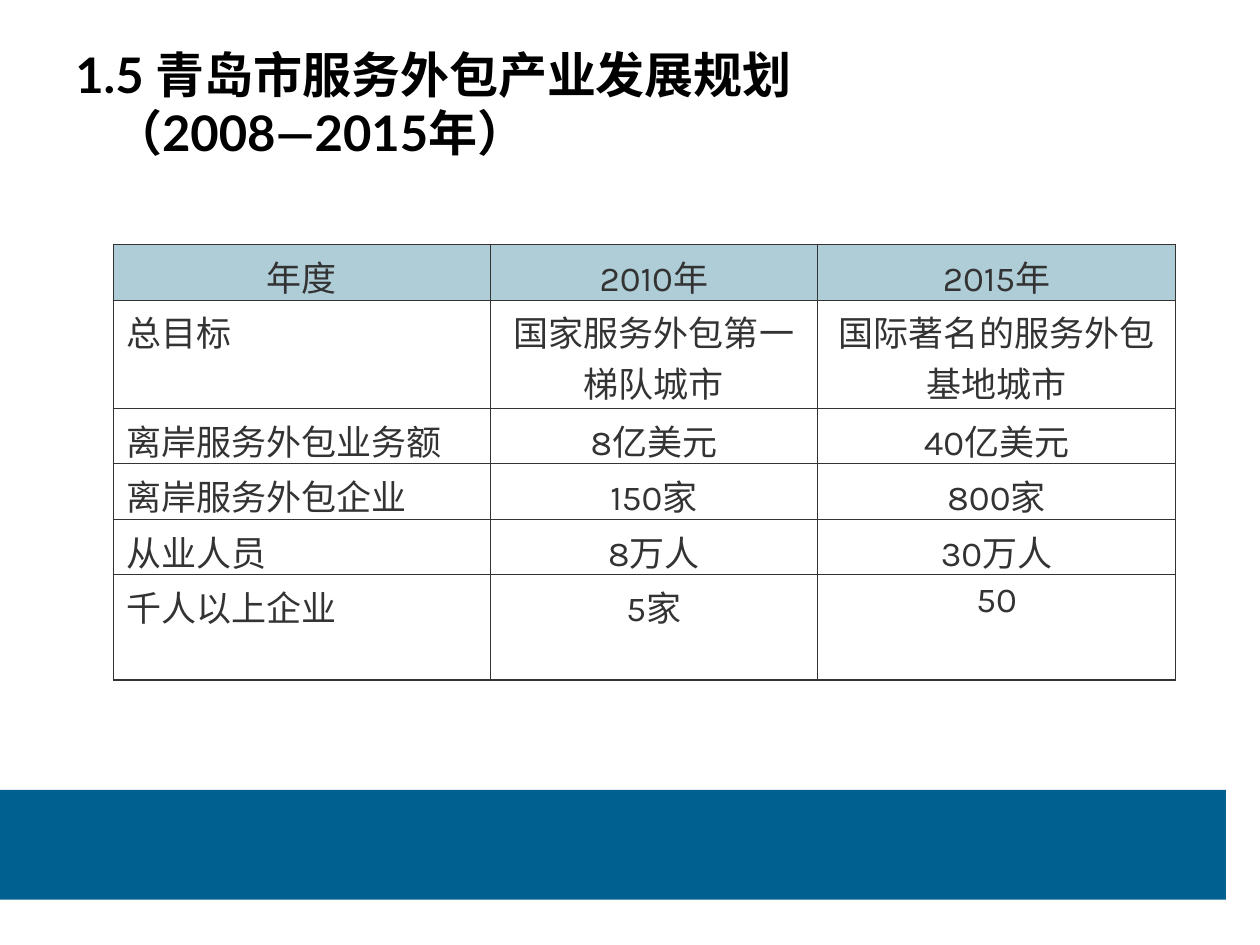
from lxml.etree import SubElement
from pptx import Presentation
from pptx.dml.color import RGBColor
from pptx.enum.shapes import MSO_SHAPE
from pptx.enum.text import PP_ALIGN
from pptx.oxml.ns import qn
from pptx.util import Inches, Pt

COLORS = {"band": "006191", "title": "000000", "ink": "333333", "header": "AFCDD7"}
TITLE_LINES = ["1.5 青岛市服务外包产业发展规划", "（2008—2015年）"]
TITLE_INDENT = 0.3
GOALS = [
    ["年度", "2010年", "2015年"],
    ["总目标", "国家服务外包第一梯队城市", "国际著名的服务外包基地城市"],
    ["离岸服务外包业务额", "8亿美元", "40亿美元"],
    ["离岸服务外包企业", "150家", "800家"],
    ["从业人员", "8万人", "30万人"],
    ["千人以上企业", "5家", "50"],
]
COLUMN_WIDTHS = [2.99, 2.6, 2.84]
ROW_HEIGHTS = [0.44, 0.86, 0.44, 0.44, 0.44, 0.84]
OUTER, INNER = 1.08, 0.45


def color(name):
    return RGBColor.from_string(COLORS[name])


def write(paragraph, text, *, font, size, ink, bold=False, align=PP_ALIGN.LEFT,
          east_asian=None, indent=0):
    paragraph.alignment = align
    if indent:
        paragraph._p.get_or_add_pPr().set("marL", str(Inches(indent)))
    run = paragraph.add_run()
    run.text = text
    run.font.name = font
    run.font.size = Pt(size)
    run.font.bold = bold
    run.font.color.rgb = color(ink)
    if east_asian:
        SubElement(run._r.get_or_add_rPr(), qn("a:ea"), typeface=east_asian)


def add_footer_band(slide, left, top, width, height):
    band = slide.shapes.add_shape(MSO_SHAPE.RECTANGLE, left, top, width, height)
    band.shadow.inherit = False
    band.fill.solid()
    band.fill.fore_color.rgb = color("band")
    band.line.fill.background()


def add_title(slide, left, top, width, height):
    frame = slide.shapes.add_textbox(left, top, width, height).text_frame
    frame.word_wrap = True
    for index, line in enumerate(TITLE_LINES):
        paragraph = frame.add_paragraph() if index else frame.paragraphs[0]
        write(paragraph, line, font="Lato", size=28, ink="title", bold=True,
              east_asian="Lato", indent=index * TITLE_INDENT)


def set_borders(cell, widths):
    properties = cell._tc.get_or_add_tcPr()
    for position, (side, width) in enumerate(widths.items()):
        line = properties.makeelement(qn(f"a:ln{side}"), {"w": str(Pt(width))})
        fill = SubElement(line, qn("a:solidFill"))
        SubElement(fill, qn("a:srgbClr"), val=COLORS["ink"])
        properties.insert(position, line)


def add_goals_table(slide, left, top, width, height):
    last_row, last_column = len(GOALS) - 1, len(COLUMN_WIDTHS) - 1
    table = slide.shapes.add_table(
        len(GOALS), len(COLUMN_WIDTHS), left, top, width, height).table
    table.horz_banding = False
    for column, column_width in zip(table.columns, COLUMN_WIDTHS):
        column.width = Inches(column_width)
    for row, row_height in zip(table.rows, ROW_HEIGHTS):
        row.height = Inches(row_height)
    for r, goal in enumerate(GOALS):
        for c, text in enumerate(goal):
            cell = table.cell(r, c)
            if r == 0:
                cell.fill.solid()
                cell.fill.fore_color.rgb = color("header")
            else:
                cell.fill.background()
            set_borders(cell, {
                "L": OUTER if c == 0 else INNER,
                "R": OUTER if c == last_column else INNER,
                "T": OUTER if r == 0 else INNER,
                "B": OUTER if r == last_row else INNER,
            })
            centered = r == 0 or c > 0
            write(cell.text_frame.paragraphs[0], text, font="Karla", size=20, ink="ink",
                  align=PP_ALIGN.CENTER if centered else PP_ALIGN.LEFT)


def main():
    presentation = Presentation()
    presentation.slide_width = Inches(10)
    presentation.slide_height = Inches(7.5)
    slide = presentation.slides.add_slide(presentation.slide_layouts[6])
    add_footer_band(slide, Inches(0), Inches(6.27), Inches(9.73), Inches(0.87))
    add_title(slide, Inches(0.5), Inches(0.3), Inches(6.63), Inches(1.01))
    add_goals_table(slide, Inches(0.9), Inches(1.94), Inches(8.43), Inches(3.45))
    presentation.save("out.pptx")


if __name__ == "__main__":
    main()
